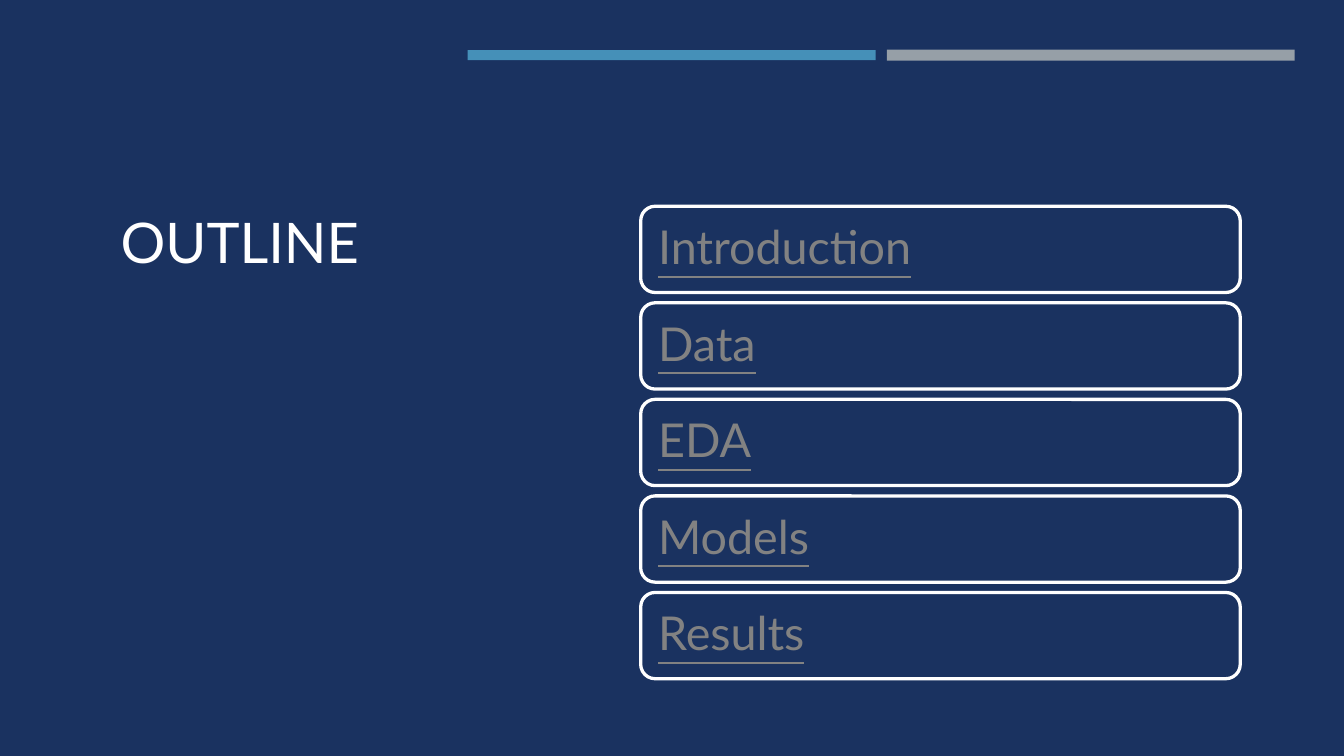
"""Build the outline slide with five topic boxes."""
from pptx import Presentation
from pptx import util as u
from pptx.dml.color import RGBColor
from pptx.enum import shapes, text

NAVY = RGBColor(0x1A, 0x32, 0x60)
BLUE = RGBColor(0x45, 0x90, 0xB8)
SILVER = RGBColor(0x96, 0x9F, 0xA7)
GREY = RGBColor(0x82, 0x82, 0x82)
WHITE = RGBColor(0xFF, 0xFF, 0xFF)
TOPICS = ["Introduction", "Data", "EDA", "Models", "Results"]


def add_box(page, kind, left, top, width, height, fill):
    box = page.shapes.add_shape(kind, u.Cm(left), u.Cm(top), u.Cm(width), u.Cm(height))
    box.shadow.inherit = False
    box.fill.solid()
    box.fill.fore_color.rgb = fill
    box.line.fill.background()
    return box


def write(box, wording, size, color, anchor):
    frame = box.text_frame
    frame.word_wrap = True
    frame.vertical_anchor = anchor
    frame.margin_left = frame.margin_right = u.Cm(0.25)
    frame.margin_top = frame.margin_bottom = u.Cm(0.25)
    para = frame.paragraphs[0]
    para.alignment = text.PP_ALIGN.LEFT
    span = para.add_run()
    span.text = wording
    span.font.name = "Lato"
    span.font.size = u.Pt(size)
    span.font.color.rgb = color
    return para, span


deck = Presentation()
deck.slide_width = u.Cm(25.4)
deck.slide_height = u.Cm(14.29)
page = deck.slides.add_slide(deck.slide_layouts[6])
page.background.fill.solid()
page.background.fill.fore_color.rgb = NAVY

for left, top, height, color in [(16.76, 0.94, 0.21, SILVER), (8.84, 0.95, 0.19, BLUE)]:
    add_box(page, shapes.MSO_SHAPE.RECTANGLE, left, top, 7.71, height, color)

title = page.shapes.add_textbox(u.Cm(2.03), u.Cm(3.68), u.Cm(7.95), u.Cm(4.22))
write(title, "OUTLINE", 30, WHITE, text.MSO_ANCHOR.TOP)

for row, topic in enumerate(TOPICS):
    box = add_box(page, shapes.MSO_SHAPE.ROUNDED_RECTANGLE,
                  12.11, 3.9 + 1.825 * row, 11.33, 1.63, NAVY)
    box.line.color.rgb = WHITE
    box.line.width = u.Pt(1.75)
    para, span = write(box, topic, 25, GREY, text.MSO_ANCHOR.MIDDLE)
    para.line_spacing = 0.9
    span.font.underline = True

deck.save("out.pptx")
